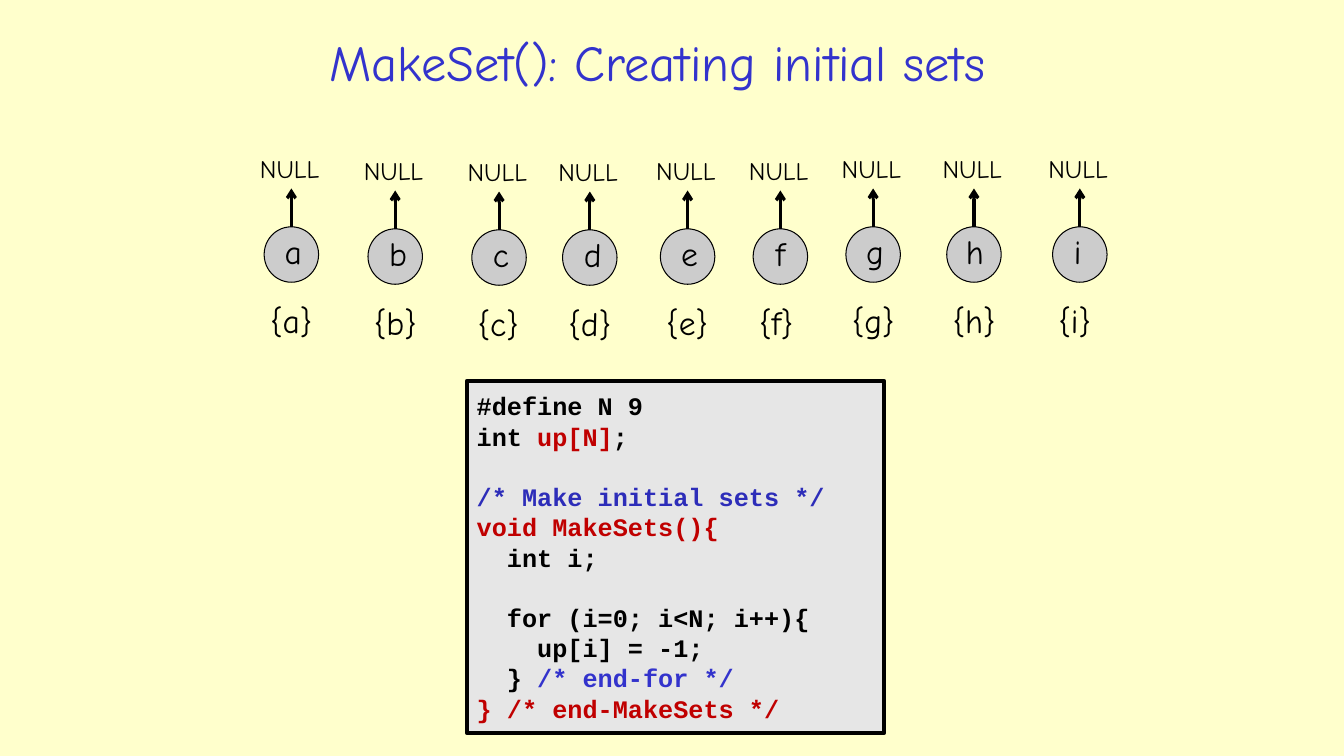
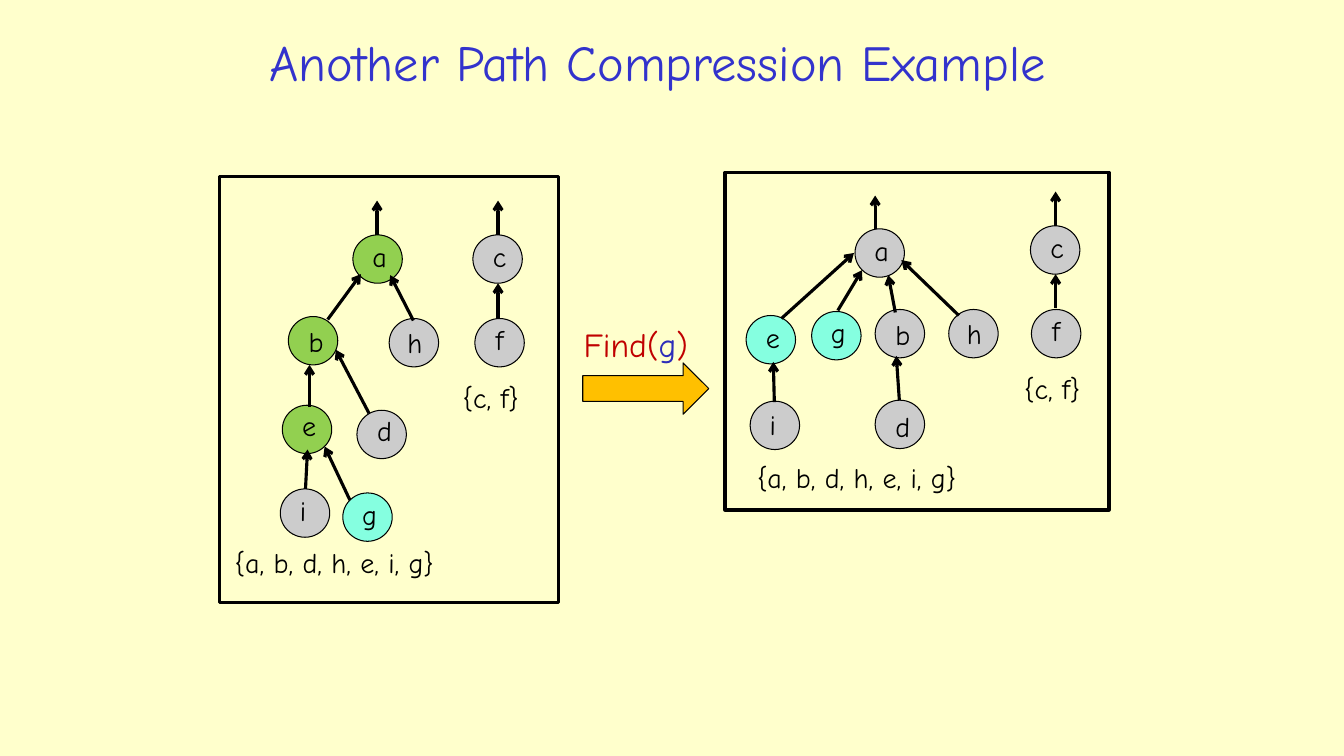
from lxml import etree
from pptx import Presentation
from pptx.dml.color import RGBColor
from pptx.enum.shapes import MSO_CONNECTOR, MSO_SHAPE
from pptx.enum.text import MSO_ANCHOR, PP_ALIGN
from pptx.oxml.ns import qn
from pptx.util import Emu, Pt

# Shared look: 100 px make one inch
EMU_PER_PX = 9144
FONT, CODE_FONT = "Comic Neue", "Courier New"
CREAM, BLACK, BLUE, NAVY, RED = "FFFFCC", "000000", "3333CC", "2D2DB9", "C00000"
GRAY, LIGHT, GREEN, AQUA, ORANGE = "CCCCCC", "E6E6E6", "92D050", "85FFE0", "FFC000"
OVAL, RECTANGLE, RIGHT_ARROW = MSO_SHAPE.OVAL, MSO_SHAPE.RECTANGLE, MSO_SHAPE.RIGHT_ARROW
STRAIGHT = MSO_CONNECTOR.STRAIGHT
TOP, MIDDLE = MSO_ANCHOR.TOP, MSO_ANCHOR.MIDDLE
LEFT, CENTER = PP_ALIGN.LEFT, PP_ALIGN.CENTER

# Sideways shift that balances each letter inside its circle
LETTER_SHIFT = {"a": 2, "b": 3, "c": 2, "d": 3, "e": 2, "f": 0, "g": 2, "h": 1, "i": -2}

# Slide 1: letter, circle left, circle top
SINGLETONS = [
    ("a", 262, 225), ("b", 365, 227), ("c", 468, 228),
    ("d", 558, 228), ("e", 655, 227), ("f", 747, 227),
    ("g", 839, 225), ("h", 939, 225), ("i", 1044, 225),
]
CODE = [
    [("#define N 9", BLACK)],
    [("int ", BLACK), ("up[N]", RED), (";", BLACK)],
    [],
    [("/* Make initial sets */", NAVY)],
    [("void MakeSets(){", RED)],
    [("  int i;", BLACK)],
    [],
    [("  for (i=0; i<N; i++){", BLACK)],
    [("    up[i] = -1;", BLACK)],
    [("  } ", BLACK), ("/* end-for */", BLUE)],
    [("} /* end-MakeSets */", RED)],
]

# Slide 2: nodes are letter, left, top, fill, letter drop;
# arrows are from x, from y, to x, to y; sets are text, left, top, width
FORESTS = [
    {
        "panel": (218, 175, 336, 423),
        "nodes": [
            ("a", 350, 233, GREEN, -3), ("b", 286, 314, GREEN, 1),
            ("d", 354, 407, GRAY, -4), ("e", 280, 402, GREEN, -4),
            ("c", 469, 233, GRAY, -3), ("f", 471, 316, GRAY, -3),
            ("g", 340, 489, AQUA, -3), ("i", 278, 485, GRAY, -3),
            ("h", 386, 316, GRAY, 0),
        ],
        "arrows": [
            (325, 317, 358, 272), (366, 410, 333, 347), (307, 404, 307, 362),
            (494, 315, 494, 281), (374, 233, 374, 199), (494, 233, 494, 199),
            (303, 485, 305, 446), (410, 318, 387, 273), (347, 496, 322, 443),
        ],
        "sets": [("{a, b, d, h, e, i, g}", 223, 536, 240), ("{c, f}", 449, 373, 86)],
    },
    {
        "panel": (719, 171, 381, 335),
        "nodes": [
            ("a", 848, 227, GRAY, -3), ("b", 868, 307, GRAY, 1),
            ("d", 868, 397, GRAY, 2), ("e", 740, 313, AQUA, -2),
            ("c", 1022, 224, GRAY, -3), ("f", 1023, 307, GRAY, -3),
            ("g", 805, 309, AQUA, -3), ("i", 744, 398, GRAY, -1),
            ("h", 941, 307, GRAY, 0),
        ],
        "arrows": [
            (775, 316, 847, 251), (888, 310, 881, 273), (1047, 306, 1047, 272),
            (868, 227, 868, 194), (1047, 224, 1047, 190), (768, 399, 767, 359),
            (951, 313, 894, 258), (831, 308, 855, 268), (892, 397, 889, 353),
        ],
        "sets": [("{a, b, d, h, e, i, g}", 741, 452, 239), ("{c, f}", 1006, 364, 86)],
    },
]


def px(length):
    return Emu(int(length * EMU_PER_PX))


def color(hex_code):
    return RGBColor.from_string(hex_code)


def write(shape, lines, size, font=FONT, align=LEFT, anchor=TOP, bold=False, spacing=None):
    """Fill a shape with lines, each a list of (text, colour) runs."""
    frame = shape.text_frame
    frame.word_wrap = True
    frame.vertical_anchor = anchor
    for index, line in enumerate(lines):
        paragraph = frame.add_paragraph() if index else frame.paragraphs[0]
        paragraph.alignment = align
        if spacing:
            paragraph.line_spacing = Pt(spacing)
        for text, hex_code in line:
            run = paragraph.add_run()
            run.text = text
            run.font.name = font
            run.font.size = Pt(size)
            run.font.bold = bold
            run.font.color.rgb = color(hex_code)


def add_label(slide, box, runs, size, **style):
    label = slide.shapes.add_textbox(*map(px, box))
    write(label, [runs], size, **style)


def add_outlined(slide, kind, box, fill, weight):
    shape = slide.shapes.add_shape(kind, *map(px, box))
    shape.shadow.inherit = False
    if fill:
        shape.fill.solid()
        shape.fill.fore_color.rgb = color(fill)
    else:
        shape.fill.background()
    shape.line.color.rgb = color(BLACK)
    shape.line.width = Pt(weight)
    return shape


def add_node(slide, letter, box, fill, size, drop):
    node = add_outlined(slide, OVAL, box, fill, 0.75)
    write(node, [[(letter, BLACK)]], size, align=CENTER, anchor=MIDDLE)
    # A one-sided margin moves the centred letter by half its width
    frame, shift = node.text_frame, LETTER_SHIFT[letter]
    frame.word_wrap = False
    frame.margin_left, frame.margin_right = px(max(2 * shift, 0)), px(max(-2 * shift, 0))
    frame.margin_top, frame.margin_bottom = px(max(2 * drop, 0)), px(max(-2 * drop, 0))


def add_arrow(slide, ends):
    arrow = slide.shapes.add_connector(STRAIGHT, *map(px, ends))
    arrow.line.color.rgb = color(BLACK)
    arrow.line.width = Pt(2.25)
    etree.SubElement(arrow.line._get_or_add_ln(), qn("a:tailEnd"), type="arrow")
    etree.SubElement(arrow._element.spPr, qn("a:effectLst"))


def add_titled_slide(presentation, title):
    slide = presentation.slides.add_slide(presentation.slide_layouts[6])
    slide.background.fill.solid()
    slide.background.fill.fore_color.rgb = color(CREAM)
    add_label(slide, (204, 26, 896, 69), [(title, BLUE)], 36, align=CENTER, anchor=MIDDLE)
    return slide


def build_initial_sets(presentation):
    slide = add_titled_slide(presentation, "MakeSet(): Creating initial sets")
    for letter, left, top in SINGLETONS:
        middle = left + 27
        add_node(slide, letter, (left, top, 54, 55), GRAY, 24, -3)
        add_arrow(slide, (middle, top, middle, top - 38))
        add_label(slide, (left - 14, top - 78, 88, 40), [("NULL", BLACK)], 18)
        add_label(slide, (left - 4, top + 68, 70, 50), [("{" + letter + "}", BLACK)], 24)
    code_box = add_outlined(slide, RECTANGLE, (463, 378, 414, 349), LIGHT, 3)
    write(code_box, CODE, 18, font=CODE_FONT, anchor=MIDDLE, bold=True, spacing=21.6)


def build_path_compression(presentation):
    slide = add_titled_slide(presentation, "Another Path Compression Example")
    for forest in FORESTS:
        add_outlined(slide, RECTANGLE, forest["panel"], None, 2.25)
        for letter, left, top, fill, drop in forest["nodes"]:
            add_node(slide, letter, (left, top, 49, 48), fill, 20, drop)
        for ends in forest["arrows"]:
            add_arrow(slide, ends)
        for text, left, top, width in forest["sets"]:
            add_label(slide, (left, top, width, 44), [(text, BLACK)], 20)
    # Step between the two forests
    add_label(slide, (569, 316, 130, 51), [("Find(", RED), ("g", NAVY), (")", RED)], 24)
    add_outlined(slide, RIGHT_ARROW, (578, 360, 125, 51), ORANGE, 0.75)


def main():
    presentation = Presentation()
    presentation.slide_width, presentation.slide_height = px(1333), px(750)
    build_initial_sets(presentation)
    build_path_compression(presentation)
    presentation.save("out.pptx")


if __name__ == "__main__":
    main()
